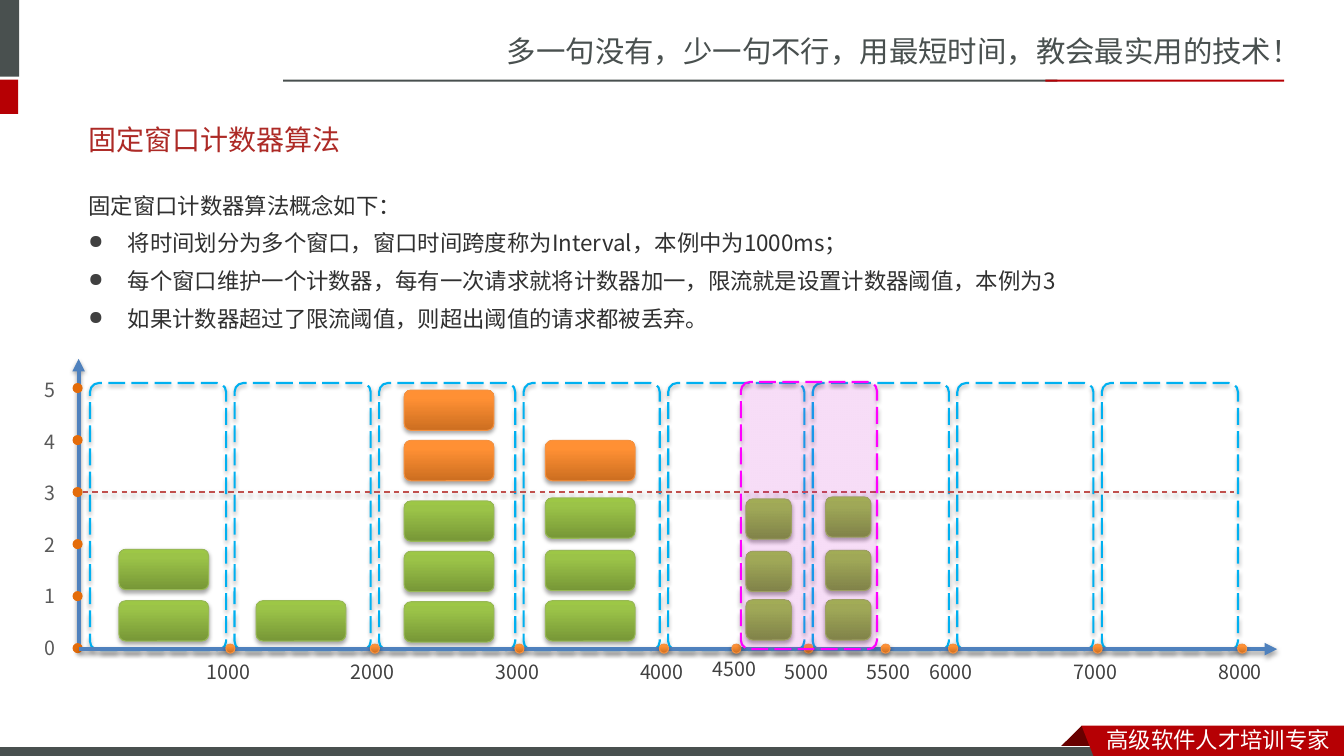
"""Build a slide on the fixed window counter, laid on a grid of tenth-inch cells."""
from dataclasses import dataclass

from lxml import etree
from pptx import Presentation
from pptx.dml.color import RGBColor
from pptx.enum.dml import MSO_LINE
from pptx.enum.shapes import MSO_CONNECTOR, MSO_SHAPE
from pptx.enum.text import MSO_ANCHOR
from pptx.oxml import parse_xml
from pptx.oxml.ns import nsdecls, qn
from pptx.util import Inches, Pt

CELL = Inches(0.1)
COLS, ROWS = 133.33, 75
RECT, ROUND, OVAL = MSO_SHAPE.RECTANGLE, MSO_SHAPE.ROUNDED_RECTANGLE, MSO_SHAPE.OVAL
DASH, LONG = MSO_LINE.DASH, MSO_LINE.LONG_DASH
STRAIGHT = MSO_CONNECTOR.STRAIGHT
TOP, MIDDLE = MSO_ANCHOR.TOP, MSO_ANCHOR.MIDDLE
FONT = "Noto Sans CJK SC"
HEX = {
    "white": "FFFFFF", "slate": "49504F", "red": "B60004", "maroon": "680000",
    "title": "AD2A26", "body": "303030", "label": "404040", "scale": "595959",
    "cyan": "00B0F0", "pink": "FF00FF", "limit": "C0504D", "axis": "4F81BD",
    "dot": "E46C0A", "green": "98B955", "orange": "F69240",
}
RAMPS = {"green": ("779737", "9BC348", "9DC746"), "orange": ("CC6E20", "FF9034", "FF9136")}
STEP, COUNT = 14.34, 8
LEVEL = 5.16


@dataclass
class Box:
    x: float
    y: float
    w: float
    h: float


@dataclass
class Look:
    fill: str = ""
    ramp: str = ""
    line: str = ""
    width: float = 0.75
    dash: MSO_LINE | None = None
    alpha: int = 100
    round: float | None = None
    shade: bool = False


@dataclass
class Stack:
    x: float
    w: float
    ramp: str
    tops: tuple[float, ...]


@dataclass
class Rule:
    start: tuple[float, float]
    end: tuple[float, float]
    color: str
    width: float
    dash: MSO_LINE | None = None
    arrow: bool = False


BANDS = [
    (Box(-0.6, 0, 2.5, 7.6), Look("slate")),
    (Box(-0.6, 7.9, 2.4, 3.4), Look("red")),
    (Box(28.1, 7.9, 76.8, 0.2), Look("slate")),
    (Box(103.7, 7.9, 23.7, 0.2), Look("red")),
]
FLOOR = (Box(-0.1, 74.1, 110, 1.2), Look("slate", line="white"))
FOLD = [(107.3, 72), (109.5, 74.2), (109.4, 74.3), (105.2, 74.3), (105.1, 74.2)]
RIBBON = [(107.3, 72), (COLS, 72), (COLS, 75.4), (108.6, 75.3)]
STACKS = [
    Stack(11.8, 8.9, "green", (59.6, 54.5)),
    Stack(25.4, 8.9, "green", (59.6,)),
    Stack(40.1, 8.9, "green", (59.7, 54.7, 49.7)),
    Stack(40.1, 8.9, "orange", (43.7, 38.7)),
    Stack(54.1, 8.9, "green", (59.6, 54.6, 49.4)),
    Stack(54.1, 8.9, "orange", (43.7,)),
    Stack(74, 4.5, "green", (59.5, 54.7, 49.5)),
    Stack(81.9, 4.5, "green", (59.5, 54.6, 49.3)),
]
LIMIT = Rule((8.2, 48.8), (122.4, 48.8), "limit", 1, DASH)
UP = Rule((7.8, 64.6), (7.8, 35.6), "axis", 3, arrow=True)
ACROSS = Rule((7.8, 64.4), (126.7, 64.4), "axis", 3, arrow=True)
PANE = Look(line="cyan", width=1.5, dash=LONG, round=0.065, shade=True)
SLIDING = Look("pink", line="pink", width=1.5, dash=LONG, alpha=10, round=0.065, shade=True)
BEAD = Look(ramp="orange", line="orange", shade=True)
INTRO = "固定窗口计数器算法概念如下："
POINTS = [
    "将时间划分为多个窗口，窗口时间跨度称为Interval，本例中为1000ms；",
    "每个窗口维护一个计数器，每有一次请求就将计数器加一，限流就是设置计数器阈值，本例为3",
    "如果计数器超过了限流阈值，则超出阈值的请求都被丢弃。",
]

deck = Presentation()
deck.slide_width, deck.slide_height = round(COLS * CELL), ROWS * CELL
pen = deck.slides.add_slide(deck.slide_layouts[6]).shapes


def grid(*cells: float) -> list[int]:
    return [round(cell * CELL) for cell in cells]


def tint(name: str) -> RGBColor:
    return RGBColor.from_string(HEX[name])


def cast(props: etree.ElementBase) -> None:
    holder = props.find(qn("a:effectLst"))
    if holder is None:
        holder = etree.SubElement(props, qn("a:effectLst"))
    holder.append(parse_xml(
        f'<a:outerShdw {nsdecls("a")} blurRad="40000" dist="23000" dir="5400000" rotWithShape="0">'
        '<a:srgbClr val="000000"><a:alpha val="35000"/></a:srgbClr></a:outerShdw>'))


def blend(props: etree.ElementBase, name: str) -> None:
    stops = "".join(f'<a:gs pos="{pos}"><a:srgbClr val="{code}"/></a:gs>'
                    for pos, code in zip((0, 80000, 100000), RAMPS[name]))
    props.find(qn("a:prstGeom")).addnext(parse_xml(
        f'<a:gradFill {nsdecls("a")} rotWithShape="1"><a:gsLst>{stops}</a:gsLst>'
        '<a:lin ang="16200000" scaled="0"/></a:gradFill>'))


def dress(shape, look: Look) -> None:
    props = shape.element.spPr
    if look.ramp:
        blend(props, look.ramp)
    elif look.fill:
        shape.fill.solid()
        shape.fill.fore_color.rgb = tint(look.fill)
        if look.alpha < 100:
            code = props.find(qn("a:solidFill")).find(qn("a:srgbClr"))
            etree.SubElement(code, qn("a:alpha")).set("val", str(look.alpha * 1000))
    else:
        shape.fill.background()
    if look.line:
        shape.line.color.rgb = tint(look.line)
        shape.line.width = Pt(look.width)
        shape.line.dash_style = look.dash
    else:
        shape.line.fill.background()
    shape.shadow.inherit = False
    if look.shade:
        cast(props)


def draw(kind: MSO_SHAPE, box: Box, look: Look) -> None:
    shape = pen.add_shape(kind, *grid(box.x, box.y, box.w, box.h))
    if look.round is not None:
        shape.adjustments[0] = look.round
    dress(shape, look)


def trace(spots: list[tuple[float, float]], fill: str) -> None:
    form = pen.build_freeform(*grid(*spots[0]), scale=1.0)
    form.add_line_segments([tuple(grid(*spot)) for spot in spots[1:]], close=True)
    dress(form.convert_to_shape(), Look(fill))


def rule(item: Rule) -> None:
    line = pen.add_connector(STRAIGHT, *grid(*item.start, *item.end))
    line.line.color.rgb = tint(item.color)
    line.line.width = Pt(item.width)
    line.line.dash_style = item.dash
    props = line.element.spPr
    if item.arrow:
        etree.SubElement(props.find(qn("a:ln")), qn("a:tailEnd")).set("type", "triangle")
    cast(props)


def put(para, text: str, size: float, color: str) -> None:
    run = para.add_run()
    run.text = text
    run.font.size, run.font.name = Pt(size), FONT
    run.font.color.rgb = tint(color)
    etree.SubElement(run._r.get_or_add_rPr(), qn("a:ea")).set("typeface", FONT)


def write(box: Box, text: str, size: float, color: str, wrap: bool = True, anchor: MSO_ANCHOR = TOP):
    frame = pen.add_textbox(*grid(box.x, box.y, box.w, box.h)).text_frame
    frame.word_wrap, frame.vertical_anchor = wrap, anchor
    put(frame.paragraphs[0], text, size, color)
    return frame


def explain() -> None:
    frame = write(Box(7.8, 18, 117.6, 46.1), INTRO, 16, "body")
    for text in POINTS:
        para = frame.add_paragraph()
        put(para, text, 16, "body")
    for para in frame.paragraphs:
        para.line_spacing, para.space_before = 1.2, Pt(4)
    for para in frame.paragraphs[1:]:
        props = para._p.get_or_add_pPr()
        props.set("marL", str(Inches(0.39)))
        props.set("indent", str(-Inches(0.39)))
        color = etree.SubElement(props, qn("a:buClr"))
        etree.SubElement(color, qn("a:srgbClr")).set("val", HEX["label"])
        etree.SubElement(props, qn("a:buSzPct")).set("val", "85000")
        etree.SubElement(props, qn("a:buChar")).set("char", "●")


write(Box(49.3, 2.8, 84.1, 4.7), "多一句没有，少一句不行，用最短时间，教会最实用的技术！", 21, "slate")
for box, look in BANDS:
    draw(RECT, box, look)
trace(FOLD, "maroon")
draw(RECT, *FLOOR)
trace(RIBBON, "red")
write(Box(108.8, 71.5, 24.5, 3.7), "高级软件人才培训专家", 16, "white")
for i in range(COUNT):
    draw(ROUND, Box(8.93 + i * STEP, 38, 13.5, 26.5), PANE)
rule(LIMIT)
explain()
write(Box(7.8, 11, 117, 5.7), "固定窗口计数器算法", 20, "title", anchor=MIDDLE)
rule(UP)
for i in range(6):
    write(Box(3.4, 62.6 - i * 5.12, 3.2, 3.4), str(i), 14, "scale", wrap=False)
    draw(OVAL, Box(7.2, 63.8 - i * LEVEL, 1, 1), Look("dot"))
for stack in STACKS:
    for top in stack.tops:
        draw(ROUND, Box(stack.x, top, stack.w, 4), Look(ramp=stack.ramp, line=stack.ramp, shade=True))
rule(ACROSS)
ticks = [(22.4 + i * STEP, 19.5 + i * STEP, 65, (i + 1) * 1000) for i in range(COUNT)]
for dot, left, top, time in ticks + [(72.6, 69.7, 64.7, 4500), (87.4, 85, 65, 5500)]:
    write(Box(left, top, 6.7, 3.4), str(time), 14, "label", wrap=False)
    draw(OVAL, Box(dot, 63.9, 0.9, 0.9), BEAD)
draw(ROUND, Box(73.5, 37.9, 13.5, 26.5), SLIDING)
deck.save("out.pptx")
